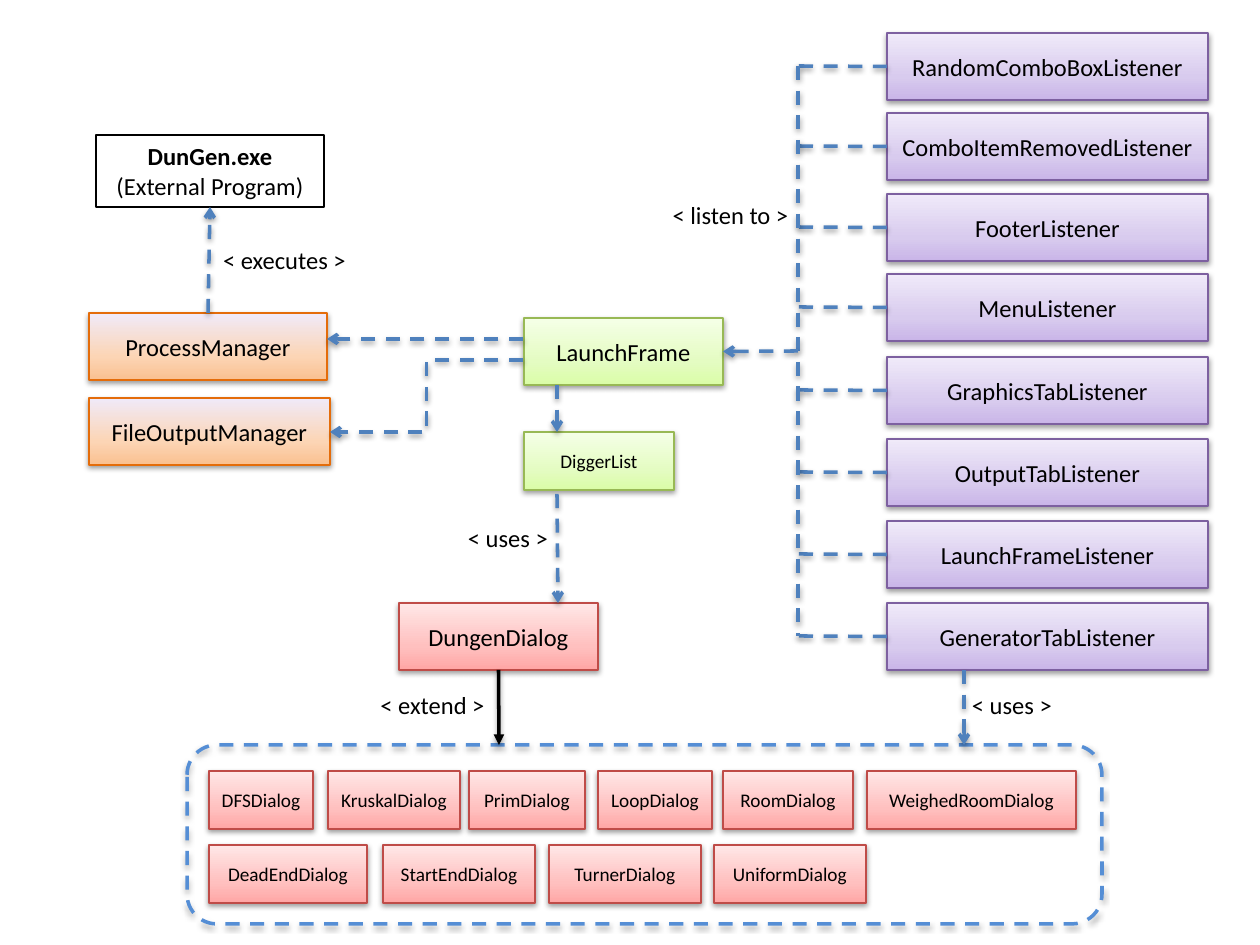
"""Build the class diagram slide of a dungeon generator interface."""
from copy import deepcopy

from lxml.etree import SubElement
from pptx import Presentation
from pptx.dml.color import RGBColor
from pptx.enum.dml import MSO_LINE
from pptx.enum.shapes import MSO_CONNECTOR, MSO_SHAPE
from pptx.enum.text import MSO_ANCHOR, PP_ALIGN
from pptx.oxml.ns import qn
from pptx.util import Pt

PX = 914400 / 126
BLACK = RGBColor(0x00, 0x00, 0x00)
BLUE = RGBColor(0x4F, 0x81, 0xBD)
FRAME_BLUE = RGBColor(0x55, 0x8E, 0xD5)
GREEN_LINE = RGBColor(0x98, 0xB9, 0x55)
RED_LINE = RGBColor(0xBF, 0x4C, 0x48)
PURPLE_LINE = RGBColor(0x7D, 0x60, 0xA0)
ORANGE_LINE = RGBColor(0xE4, 0x6C, 0x0A)
GREEN = (RGBColor(0xDA, 0xFD, 0xA7), RGBColor(0xE4, 0xFC, 0xC2), RGBColor(0xF5, 0xFF, 0xE7))
RED = (RGBColor(0xFF, 0xA6, 0xA5), RGBColor(0xFF, 0xC0, 0xBF), RGBColor(0xFF, 0xE7, 0xE7))
PURPLE = (RGBColor(0xC9, 0xB5, 0xE8), RGBColor(0xD8, 0xCB, 0xEE), RGBColor(0xF0, 0xEA, 0xF9))
ORANGE = (RGBColor(0xFA, 0xC0, 0x90), RGBColor(0xFC, 0xD5, 0xB5), RGBColor(0xF0, 0xEA, 0xF9))
LINES = {GREEN: GREEN_LINE, RED: RED_LINE, PURPLE: PURPLE_LINE, ORANGE: ORANGE_LINE}

LISTENERS = [
    ("RandomComboBoxListener", 33),
    ("ComboItemRemovedListener", 113),
    ("FooterListener", 194),
    ("MenuListener", 274),
    ("GraphicsTabListener", 357),
    ("OutputTabListener", 439),
    ("LaunchFrameListener", 521),
    ("GeneratorTabListener", 603),
]
DIALOG_ROWS = {
    771: [("DFSDialog", 209, 104), ("KruskalDialog", 328, 132), ("PrimDialog", 469, 116),
          ("LoopDialog", 598, 114), ("RoomDialog", 723, 130), ("WeighedRoomDialog", 867, 209)],
    845: [("DeadEndDialog", 209, 158), ("StartEndDialog", 383, 152),
          ("TurnerDialog", 549, 152), ("UniformDialog", 714, 152)],
}
LABELS = [
    ("< uses >", 954, 684, 116),
    ("< extend >", 367, 684, 131),
    ("< uses >", 450, 517, 116),
    ("< listen to >", 655, 194, 151),
    ("< executes >", 209, 239, 151),
]


def emu(*lengths):
    return [round(n * PX) for n in lengths]


class Diagram:
    """Holds the style and the current slide."""

    font = "Calibri"

    def __init__(self, slide):
        self.shapes = slide.shapes

    def shadow(self, sp, alpha=38):
        effects = SubElement(sp._element.spPr, qn("a:effectLst"))
        outer = SubElement(effects, qn("a:outerShdw"), blurRad="40000", dist="20000",
                           dir="5400000", rotWithShape="0")
        color = SubElement(outer, qn("a:srgbClr"), val="000000")
        SubElement(color, qn("a:alpha"), val=str(alpha * 1000))

    def set_text(self, sp, text, size, bold_first=False):
        tf = sp.text_frame
        tf.text = text
        for i, p in enumerate(tf.paragraphs):
            p.alignment = PP_ALIGN.CENTER
            for r in p.runs:
                r.font.name, r.font.size = self.font, Pt(size)
                r.font.color.rgb = BLACK
                r.font.bold = bold_first and i == 0

    def gradient(self, sp, colors):
        sp.fill.gradient()
        sp.fill.gradient_angle = 90
        first = sp._element.spPr.find(".//" + qn("a:gs"))
        first.addnext(deepcopy(first))
        for stop, position, color in zip(sp.fill.gradient_stops, (0, 0.35, 1), colors):
            stop.position = position
            stop.color.rgb = color

    def box(self, text, x, y, w, h, colors, size=14):
        sp = self.shapes.add_shape(MSO_SHAPE.RECTANGLE, *emu(x, y, w, h))
        self.gradient(sp, colors)
        sp.line.color.rgb, sp.line.width = LINES[colors], Pt(0.75)
        self.shadow(sp)
        self.set_text(sp, text, size)
        sp.text_frame.word_wrap = False
        return sp

    def program(self, text, x, y, w, h):
        sp = self.shapes.add_shape(MSO_SHAPE.RECTANGLE, *emu(x, y, w, h))
        sp.fill.background()
        sp.line.color.rgb, sp.line.width = BLACK, Pt(0.75)
        sp.shadow.inherit = False
        self.set_text(sp, text, 14, bold_first=True)
        sp.text_frame.word_wrap = True
        sp.text_frame.vertical_anchor = MSO_ANCHOR.TOP
        return sp

    def frame(self, x, y, w, h):
        sp = self.shapes.add_shape(MSO_SHAPE.ROUNDED_RECTANGLE, *emu(x, y, w, h))
        sp.fill.background()
        sp.line.color.rgb, sp.line.width = FRAME_BLUE, Pt(2)
        sp.line.dash_style = MSO_LINE.DASH
        self.shadow(sp, 35)

    def label(self, text, x, y, w):
        sp = self.shapes.add_textbox(*emu(x, y, w, 42))
        self.set_text(sp, text, 14)
        sp.text_frame.word_wrap = True

    def link(self, x1, y1, x2, y2, head="arrow", color=BLUE, dash=True,
             kind=MSO_CONNECTOR.STRAIGHT, begin=None, end=None):
        line = self.shapes.add_connector(kind, *emu(x1, y1, x2, y2))
        if begin:
            line.begin_connect(*begin)
        if end:
            line.end_connect(*end)
        line.line.color.rgb, line.line.width = color, Pt(2)
        if dash:
            line.line.dash_style = MSO_LINE.DASH
        if head:
            SubElement(line._element.spPr.find(qn("a:ln")), qn("a:tailEnd"), type=head)
        self.shadow(line)


def main():
    prs = Presentation()
    prs.slide_width, prs.slide_height = emu(1260, 945)
    d = Diagram(prs.slides.add_slide(prs.slide_layouts[6]))

    launch = d.box("LaunchFrame", 524, 318, 199, 67, GREEN)
    dialog = d.box("DungenDialog", 399, 603, 199, 67, RED)
    process = d.box("ProcessManager", 89, 313, 238, 67, ORANGE)
    d.box("FileOutputManager", 89, 398, 241, 67, ORANGE)
    d.box("DiggerList", 524, 432, 150, 58, GREEN, 11)
    program = d.program("DunGen.exe\n(External Program)", 96, 135, 228, 72)

    bus_x = 798
    for name, y in LISTENERS:
        listener = d.box(name, 887, y, 321, 67, PURPLE)
        d.link(887, y + 33, bus_x, y + 33, head=None, begin=(listener, 1))
    d.link(bus_x, 66, bus_x, 636, head=None)
    d.link(bus_x, 351, 723, 351, end=(launch, 3))

    d.frame(187, 745, 915, 179)
    for y, row in DIALOG_ROWS.items():
        for name, x, w in row:
            d.box(name, x, y, w, 58, RED, 11)

    d.link(208, 313, 210, 207, begin=(process, 0), end=(program, 2))
    d.link(523, 339, 327, 339)
    d.link(523, 360, 330, 432, kind=MSO_CONNECTOR.ELBOW)
    d.link(557, 385, 557, 432)
    d.link(557, 494, 558, 603)
    d.link(964, 670, 964, 745)
    d.link(499, 670, 499, 745, head="triangle", color=BLACK, dash=False, begin=(dialog, 2))
    for label in LABELS:
        d.label(*label)

    prs.save("out.pptx")


if __name__ == "__main__":
    main()
